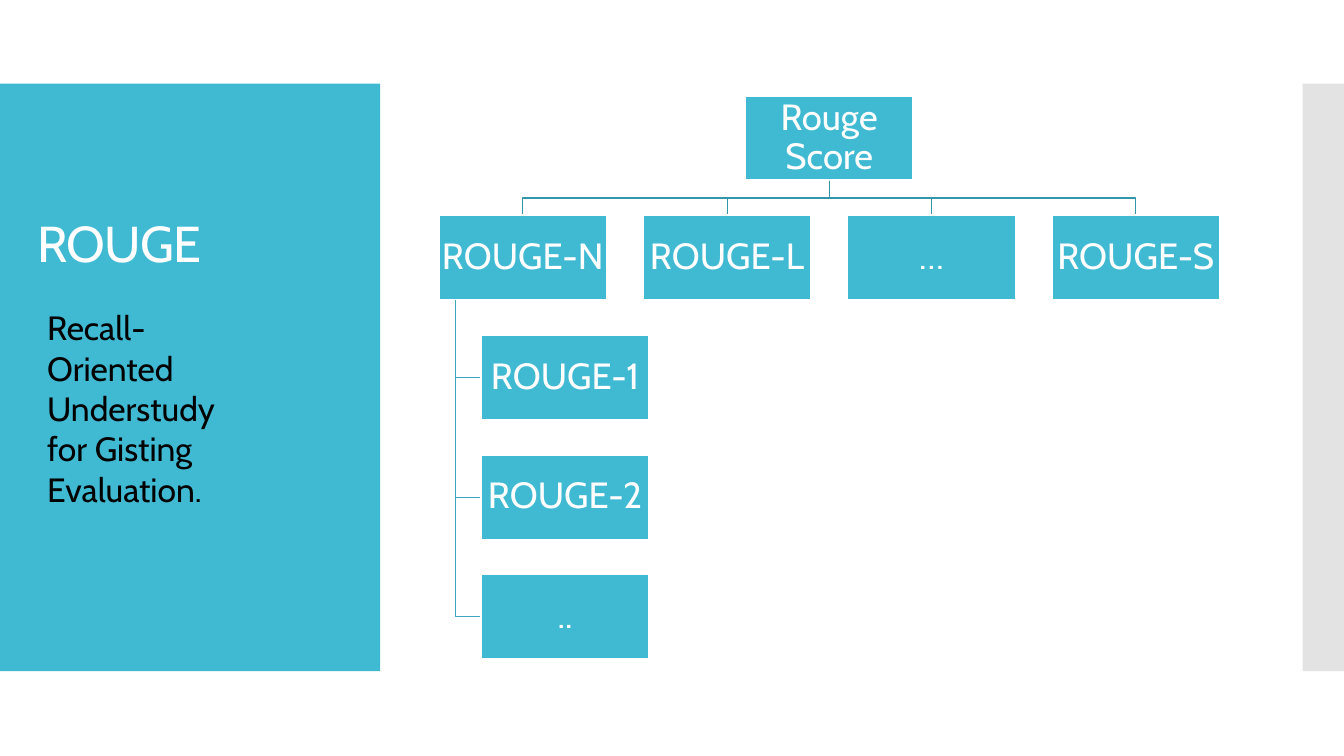
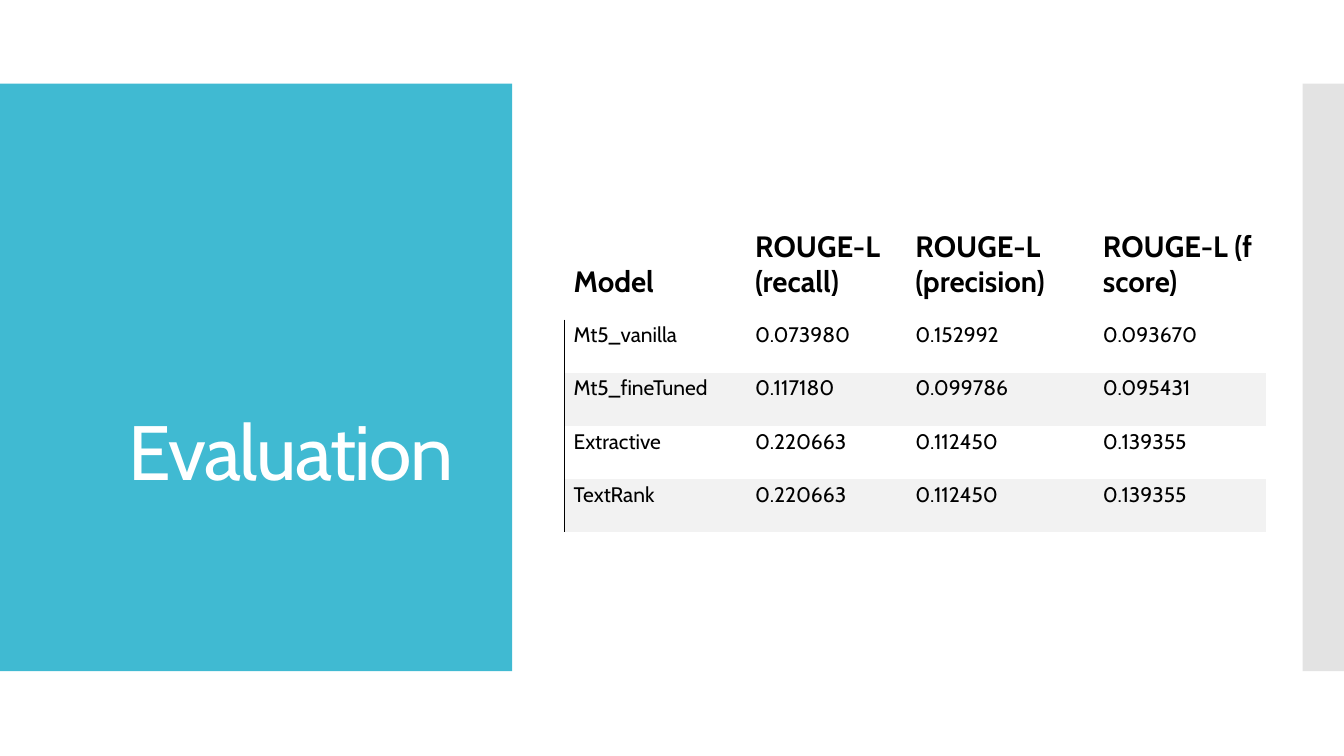
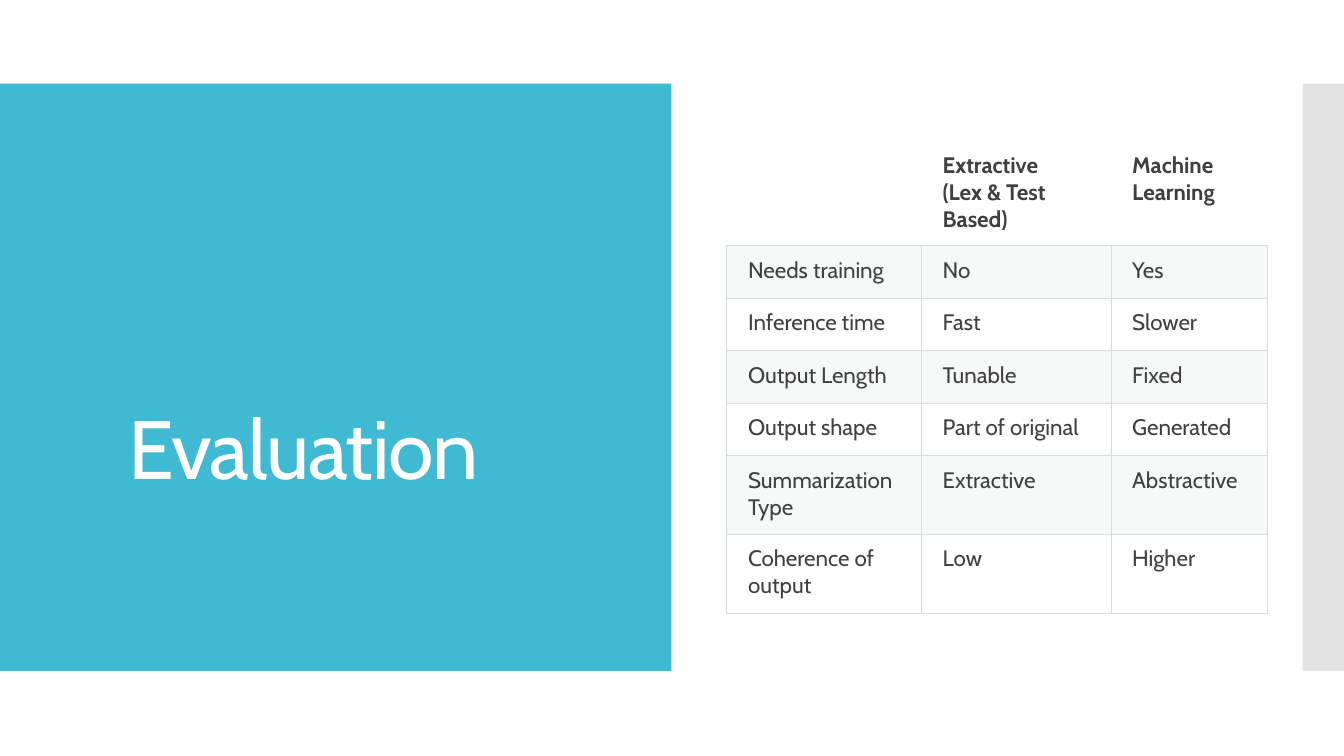
from dataclasses import dataclass

from lxml.etree import SubElement
from pptx import Presentation
from pptx.dml.color import RGBColor
from pptx.enum.shapes import MSO_SHAPE
from pptx.enum.text import MSO_ANCHOR, MSO_AUTO_SIZE, PP_ALIGN
from pptx.oxml.ns import qn
from pptx.oxml.xmlchemy import OxmlElement
from pptx.util import Inches, Pt


@dataclass(frozen=True)
class Theme:
    """Colours, font and type sizes shared by the slides."""
    font: str = "Cabin"
    accent: str = "40BAD2"
    family_line: str = "3395A8"
    variant_line: str = "3AA9BF"
    edge: str = "C8C8C8"
    white: str = "FFFFFF"
    black: str = "000000"
    body_size: int = 24
    node_size: int = 26
    band_top: float = 0.83
    band_height: float = 5.83


@dataclass(frozen=True)
class TableStyle:
    """Look of one table; edges are named L, R, T and B."""
    header_size: int
    body_size: int
    text_colour: str
    margins: tuple
    header_anchor: MSO_ANCHOR
    border_colour: str
    header_edges: str
    first_column_edges: str
    other_edges: str
    band_colour: str
    band_opacity: int
    band_remainder: int


THEME = Theme()

SCORE_STYLE = TableStyle(
    header_size=21, body_size=15, text_colour="000000",
    margins=(0.09, 0.03, 0.13, 0.19), header_anchor=MSO_ANCHOR.BOTTOM,
    border_colour="000000", header_edges="", first_column_edges="L",
    other_edges="", band_colour="F2F2F2", band_opacity=100, band_remainder=0)

COMPARISON_STYLE = TableStyle(
    header_size=16, body_size=16, text_colour="404040",
    margins=(0.21, 0.11, 0.11, 0.11), header_anchor=MSO_ANCHOR.TOP,
    border_colour="D8DCDC", header_edges="B", first_column_edges="LRTB",
    other_edges="LRTB", band_colour="D8DEDC", band_opacity=20, band_remainder=1)

SCORES = [
    ("Model", "ROUGE-L (recall)", "ROUGE-L (precision)", "ROUGE-L (f score)"),
    ("Mt5_vanilla", "0.073980", "0.152992", "0.093670"),
    ("Mt5_fineTuned", "0.117180", "0.099786", "0.095431"),
    ("Extractive", "0.220663", "0.112450", "0.139355"),
    ("TextRank", "0.220663", "0.112450", "0.139355"),
]

COMPARISON = [
    ("", "Extractive\n(Lex & Test Based)", "Machine Learning"),
    ("Needs training", "No", "Yes"),
    ("Inference time", "Fast", "Slower"),
    ("Output Length", "Tunable", "Fixed"),
    ("Output shape", "Part of original", "Generated"),
    ("Summarization Type", "Extractive", "Abstractive"),
    ("Coherence of output", "Low", "Higher"),
]


def colour(value):
    """Turn a hex string into a colour."""
    return RGBColor.from_string(value)


def set_fill(fill, properties, value, opacity=100):
    """Fill solidly, with an opacity in percent."""
    fill.solid()
    fill.fore_color.rgb = colour(value)
    if opacity < 100:
        swatch = properties.find(qn("a:solidFill")).find(qn("a:srgbClr"))
        SubElement(swatch, qn("a:alpha")).set("val", str(opacity * 1000))


def set_text(frame, text, size, text_colour, bold=False, align=PP_ALIGN.LEFT, spacing=1.0):
    """Write text and format each of its paragraphs."""
    frame.text = text
    frame.word_wrap = True
    for paragraph in frame.paragraphs:
        paragraph.alignment = align
        paragraph.line_spacing = spacing
        paragraph.font.name = THEME.font
        paragraph.font.size = Pt(size)
        paragraph.font.bold = bold
        paragraph.font.color.rgb = colour(text_colour)


def add_rectangle(slide, left, top, width, height, value, opacity=100):
    """Add a plain rectangle without outline or shadow."""
    shape = slide.shapes.add_shape(
        MSO_SHAPE.RECTANGLE, Inches(left), Inches(top), Inches(width), Inches(height))
    shape.shadow.inherit = False
    set_fill(shape.fill, shape._element.spPr, value, opacity)
    shape.line.fill.background()
    return shape


def add_titled_slide(presentation, text, panel_width, box, size, anchor, tracking):
    """Add a slide with the accent panel, the right band and its title."""
    slide = presentation.slides.add_slide(presentation.slide_layouts[5])
    add_rectangle(slide, 0, THEME.band_top, panel_width, THEME.band_height, THEME.accent)
    band = add_rectangle(slide, 12.92, THEME.band_top, 0.42, THEME.band_height, THEME.edge, 50)
    title = slide.shapes.title
    title.left, title.top, title.width, title.height = map(Inches, box)
    frame = title.text_frame
    set_text(frame, text, size, THEME.white, spacing=0.9)
    frame.auto_size = MSO_AUTO_SIZE.NONE
    frame.vertical_anchor = anchor
    frame.paragraphs[0].font._rPr.set("spc", str(tracking))
    band._element.addnext(title._element)
    return slide


def add_node(slide, text, left, top, width, height):
    """Add one box of the tree."""
    node = add_rectangle(slide, left, top, width, height, THEME.accent)
    node.line.color.rgb = colour(THEME.white)
    node.line.width = Pt(1.35)
    frame = node.text_frame
    frame.margin_left = frame.margin_right = Inches(0.02)
    frame.margin_top = frame.margin_bottom = Inches(0.02)
    frame.vertical_anchor = MSO_ANCHOR.MIDDLE
    set_text(frame, text, THEME.node_size, THEME.white, align=PP_ALIGN.CENTER, spacing=0.9)


def add_branch(slide, points, value):
    """Add an open, angled tree line through the points."""
    start, *others = [(Inches(x), Inches(y)) for x, y in points]
    builder = slide.shapes.build_freeform(*start)
    builder.add_line_segments(others, close=False)
    branch = builder.convert_to_shape()
    branch.shadow.inherit = False
    branch.fill.background()
    branch.line.color.rgb = colour(value)
    branch.line.width = Pt(0.85)


def add_tree(slide):
    """Draw the score family as a tree of boxes."""
    width, height = 1.67, 0.84
    left, last_left, top, last_top = 4.35, 10.43, 0.95, 5.7
    spine, variant_left = 4.52, 4.77
    family = ("ROUGE-N", "ROUGE-L", "…", "ROUGE-S")
    variants = ("ROUGE-1", "ROUGE-2", "..")
    column_pitch = (last_left - left) / (len(family) - 1)
    row_pitch = (last_top - top) / (len(variants) + 1)
    root_left = (left + last_left) / 2
    middle = root_left + width / 2
    root_bottom = top + height
    family_top = top + row_pitch
    bus = (root_bottom + family_top) / 2

    for index, text in enumerate(family):
        node_left = left + column_pitch * index
        centre = node_left + width / 2
        add_branch(slide, [(middle, root_bottom), (middle, bus), (centre, bus),
                           (centre, family_top)], THEME.family_line)
        add_node(slide, text, node_left, family_top, width, height)
    for index, text in enumerate(variants, start=1):
        node_top = family_top + row_pitch * index
        centre = node_top + height / 2
        add_branch(slide, [(spine, family_top + height), (spine, centre),
                           (variant_left, centre)], THEME.variant_line)
        add_node(slide, text, variant_left, node_top, width, height)
    add_node(slide, "Rouge Score", root_left, top, width, height)


def set_borders(cell, edges, value):
    """Draw the named edges of a cell and clear the others."""
    properties = cell._tc.get_or_add_tcPr()
    for index, edge in enumerate("LRTB"):
        border = OxmlElement(f"a:ln{edge}")
        border.set("w", str(Pt(0.75)))
        if edge in edges:
            fill = SubElement(border, qn("a:solidFill"))
            SubElement(fill, qn("a:srgbClr")).set("val", value)
        else:
            SubElement(border, qn("a:noFill"))
        properties.insert(index, border)


def format_cell(cell, text, row, column, style):
    """Write and format one table cell."""
    header = row == 0
    margins = map(Inches, style.margins)
    cell.margin_left, cell.margin_top, cell.margin_right, cell.margin_bottom = margins
    cell.vertical_anchor = style.header_anchor if header else MSO_ANCHOR.TOP
    size = style.header_size if header else style.body_size
    set_text(cell.text_frame, text, size, style.text_colour, bold=header)
    if not header and row % 2 == style.band_remainder:
        set_fill(cell.fill, cell._tc.tcPr, style.band_colour, style.band_opacity)
    else:
        cell.fill.background()
    body_edges = style.other_edges if column else style.first_column_edges
    set_borders(cell, style.header_edges if header else body_edges, style.border_colour)


def add_styled_table(slide, rows, left, top, widths, heights, style):
    """Add a table with the given content, sizes and style."""
    table = slide.shapes.add_table(
        len(rows), len(widths), Inches(left), Inches(top),
        Inches(sum(widths)), Inches(sum(heights))).table
    table.first_row = table.horz_banding = False
    for column, width in zip(table.columns, widths):
        column.width = Inches(width)
    for row, height in zip(table.rows, heights):
        row.height = Inches(height)
    for row, texts in enumerate(rows):
        for column, text in enumerate(texts):
            format_cell(table.cell(row, column), text, row, column, style)


def main():
    """Build and save the presentation."""
    presentation = Presentation()
    presentation.slide_width, presentation.slide_height = Inches(13.33), Inches(7.5)

    slide = add_titled_slide(
        presentation, "ROUGE", 3.77, (0.27, 1.14, 3.22, 2.61), 36, MSO_ANCHOR.MIDDLE, -60)
    add_tree(slide)
    meaning = slide.shapes.add_textbox(Inches(0.37), Inches(3), Inches(2.27), Inches(2.12))
    set_text(meaning.text_frame, "Recall-Oriented Understudy for Gisting Evaluation.",
             THEME.body_size, THEME.black)

    slide = add_titled_slide(
        presentation, "Evaluation", 5.08, (1.17, 1.42, 3.56, 3.56), 55, MSO_ANCHOR.BOTTOM, -100)
    score_height, header_height = 3.07, 0.96
    row_height = (score_height - header_height) / (len(SCORES) - 1)
    add_styled_table(slide, SCORES, 5.6, 2.21, (1.8, 1.59, 1.86, 1.71),
                     [header_height] + [row_height] * (len(SCORES) - 1), SCORE_STYLE)

    slide = add_titled_slide(
        presentation, "Evaluation", 6.66, (1.17, 1.42, 5.15, 3.56), 59, MSO_ANCHOR.BOTTOM, -100)
    add_styled_table(slide, COMPARISON, 7.21, 1.4, (1.93, 1.88, 1.55),
                     [1.04] + [0.52] * 4 + [0.78, 0.79], COMPARISON_STYLE)

    presentation.save("out.pptx")


if __name__ == "__main__":
    main()
